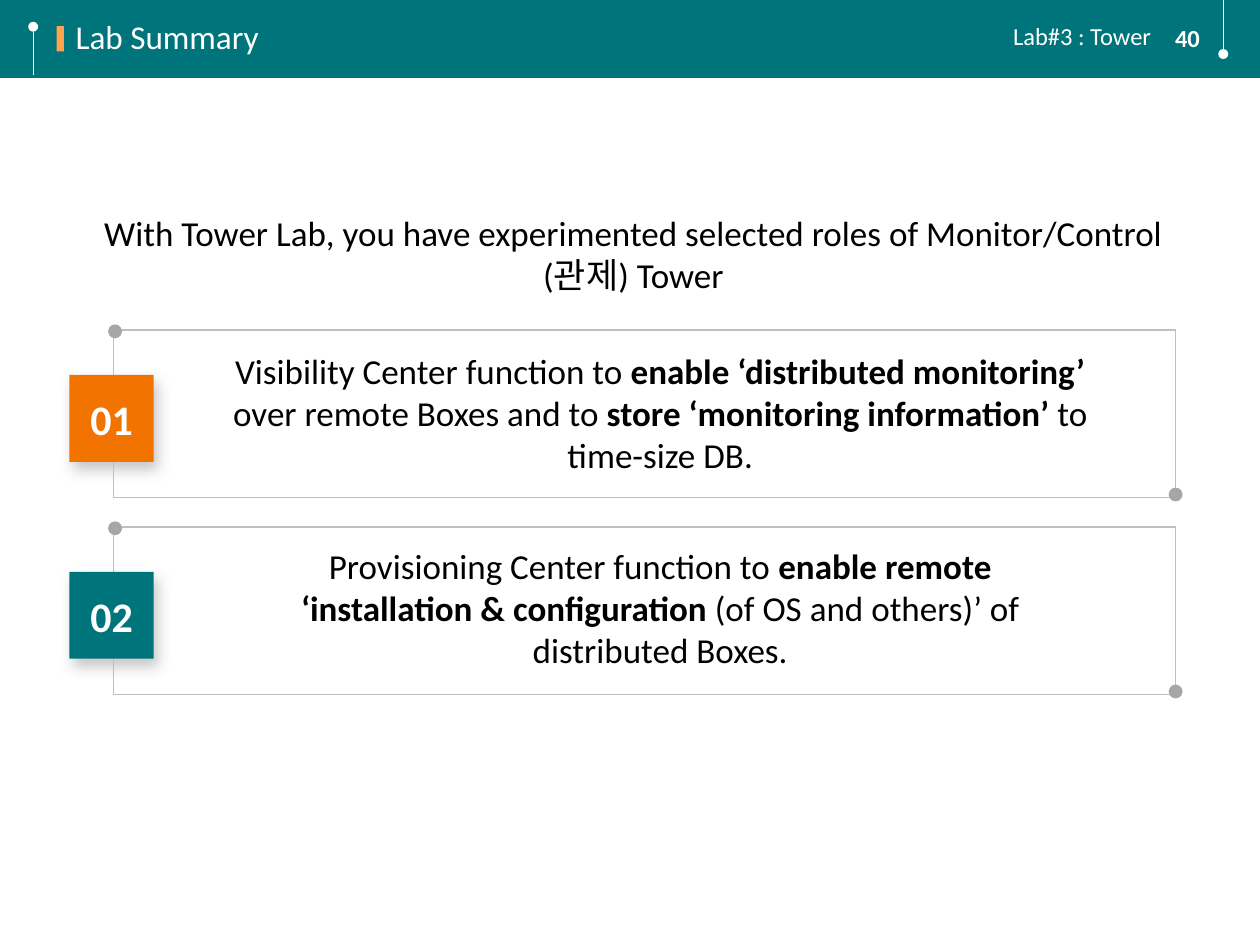
from lxml.etree import SubElement
from pptx import Presentation
from pptx.dml.color import RGBColor
from pptx.enum.shapes import MSO_CONNECTOR, MSO_SHAPE
from pptx.enum.text import MSO_ANCHOR, MSO_AUTO_SIZE, PP_ALIGN
from pptx.oxml.ns import qn
from pptx.util import Cm, Pt

TEAL, ORANGE, AMBER = "00747B", "F27300", "FFA34D"
WHITE, BLACK, BORDER, DOT = "FFFFFF", "000000", "BFBFBF", "A6A6A6"


def color(value):
    return RGBColor.from_string(value)


def write(frame, text, size=20, ink=BLACK, bold=False, align=PP_ALIGN.CENTER,
          anchor=MSO_ANCHOR.TOP, spacing=None):
    frame.word_wrap = True
    frame.auto_size = MSO_AUTO_SIZE.NONE
    frame.vertical_anchor = anchor
    paragraph = frame.paragraphs[0]
    paragraph.alignment = align
    paragraph.line_spacing = spacing
    parts = [(text, {})] if isinstance(text, str) else text
    for words, change in parts:
        run = paragraph.add_run()
        run.text = words
        run.font.name = change.get("font", "Calibri")
        run.font.size = Pt(size)
        run.font.bold = change.get("bold", bold)
        run.font.color.rgb = color(ink)


class SlideBuilder:
    def __init__(self, slide):
        self.slide = slide
        self.shapes = slide.shapes

    def shape(self, kind, left, top, width, height, fill=None, line=None):
        shape = self.shapes.add_shape(kind, Cm(left), Cm(top), Cm(width), Cm(height))
        shape.shadow.inherit = False
        if fill:
            shape.fill.solid()
            shape.fill.fore_color.rgb = color(fill)
        else:
            shape.fill.background()
        if line:
            shape.line.color.rgb = color(line)
            shape.line.width = Pt(1)
        else:
            shape.line.fill.background()
        return shape

    def dot(self, x, y, size, fill):
        self.shape(MSO_SHAPE.OVAL, x - size / 2, y - size / 2, size, size, fill)

    def pin(self, x, start, end, head):
        stem = self.shapes.add_connector(
            MSO_CONNECTOR.STRAIGHT, Cm(x), Cm(start), Cm(x), Cm(end))
        stem.line.color.rgb = color(WHITE)
        stem.line.width = Pt(0.75)
        SubElement(stem.element.spPr, qn("a:effectLst"))
        self.dot(x, head, 0.2, WHITE)

    def text(self, left, top, width, height, text, **style):
        box = self.shapes.add_textbox(Cm(left), Cm(top), Cm(width), Cm(height))
        write(box.text_frame, text, **style)

    def title(self, text):
        title = self.shapes.title
        title.left, title.top = Cm(1.27), Cm(0.08)
        title.width, title.height = Cm(16.59), Cm(1.42)
        write(title.text_frame, text, size=19, ink=WHITE, align=PP_ALIGN.LEFT,
              anchor=MSO_ANCHOR.MIDDLE, spacing=0.9)
        title.element.getparent().append(title.element)

    def badge(self, left, top, label, fill):
        badge = self.shape(MSO_SHAPE.ROUND_2_DIAG_RECTANGLE, left, top, 1.7, 1.75, fill)
        badge.adjustments[0] = badge.adjustments[1] = 0
        effects = badge.element.spPr.find(qn("a:effectLst"))
        shadow = SubElement(effects, qn("a:outerShdw"), blurRad=str(Pt(8)),
                            dist=str(Pt(5)), dir=str(61 * 60000),
                            algn="tl", rotWithShape="0")
        tint = SubElement(shadow, qn("a:srgbClr"), val=BORDER)
        SubElement(tint, qn("a:alpha"), val="85000")
        write(badge.text_frame, label, size=24, ink=WHITE, bold=True,
              anchor=MSO_ANCHOR.MIDDLE)

    def card(self, top, label, fill, text, text_width, text_offset):
        left, width, height = 2.29, 21.41, 3.38
        self.shape(MSO_SHAPE.RECTANGLE, left, top, width, height, line=BORDER)
        self.dot(left + 0.03, top + 0.03, 0.28, DOT)
        self.dot(left + width, top + height - 0.06, 0.28, DOT)
        self.badge(1.4, top + 0.91, label, fill)
        self.text(13.31 - text_width / 2, top + text_offset, text_width, 2.82, text)


def main():
    deck = Presentation()
    deck.slide_width, deck.slide_height = Cm(25.4), Cm(19.05)
    page = SlideBuilder(deck.slides.add_slide(deck.slide_layouts[5]))
    strong = {"bold": True}

    page.shape(MSO_SHAPE.RECTANGLE, 0, 0, 25.4, 1.57, TEAL)
    page.shape(MSO_SHAPE.RECTANGLE, 1.14, 0.53, 0.15, 0.51, AMBER)
    page.pin(24.66, 0, 1.17, head=1.09)
    page.pin(0.67, 0.64, 1.52, head=0.54)
    page.text(23.27, 0.25, 1.17, 1.02, "40", size=14, ink=WHITE, bold=True,
              align=PP_ALIGN.RIGHT, anchor=MSO_ANCHOR.MIDDLE)
    page.text(18.64, 0.3, 6.35, 0.91, "Lab#3 : Tower", size=14, ink=WHITE)
    page.title("Lab Summary")

    page.text(1.02, 4.14, 23.5, 1.96, [
        ("With Tower Lab, you have experimented selected roles of Monitor/Control (", {}),
        ("관제", {"font": "Arial"}),
        (") Tower", {}),
    ])

    visibility = [
        ("Visibility Center function to ", {}),
        ("enable ‘distributed monitoring’ ", strong),
        ("over remote Boxes and to ", {}),
        ("store ‘monitoring information’ ", strong),
        ("to time-size DB.", {}),
    ]
    provisioning = [
        ("Provisioning Center function to ", {}),
        ("enable remote ‘installation & configuration", strong),
        (" (of OS and others)’ of distributed Boxes.", {}),
    ]
    cards = [
        ("01", ORANGE, visibility, 18.19, 0.28),
        ("02", TEAL, provisioning, 15.82, 0.23),
    ]
    for row, card in enumerate(cards):
        page.card(6.65 + row * 3.97, *card)

    deck.save("out.pptx")


if __name__ == "__main__":
    main()
